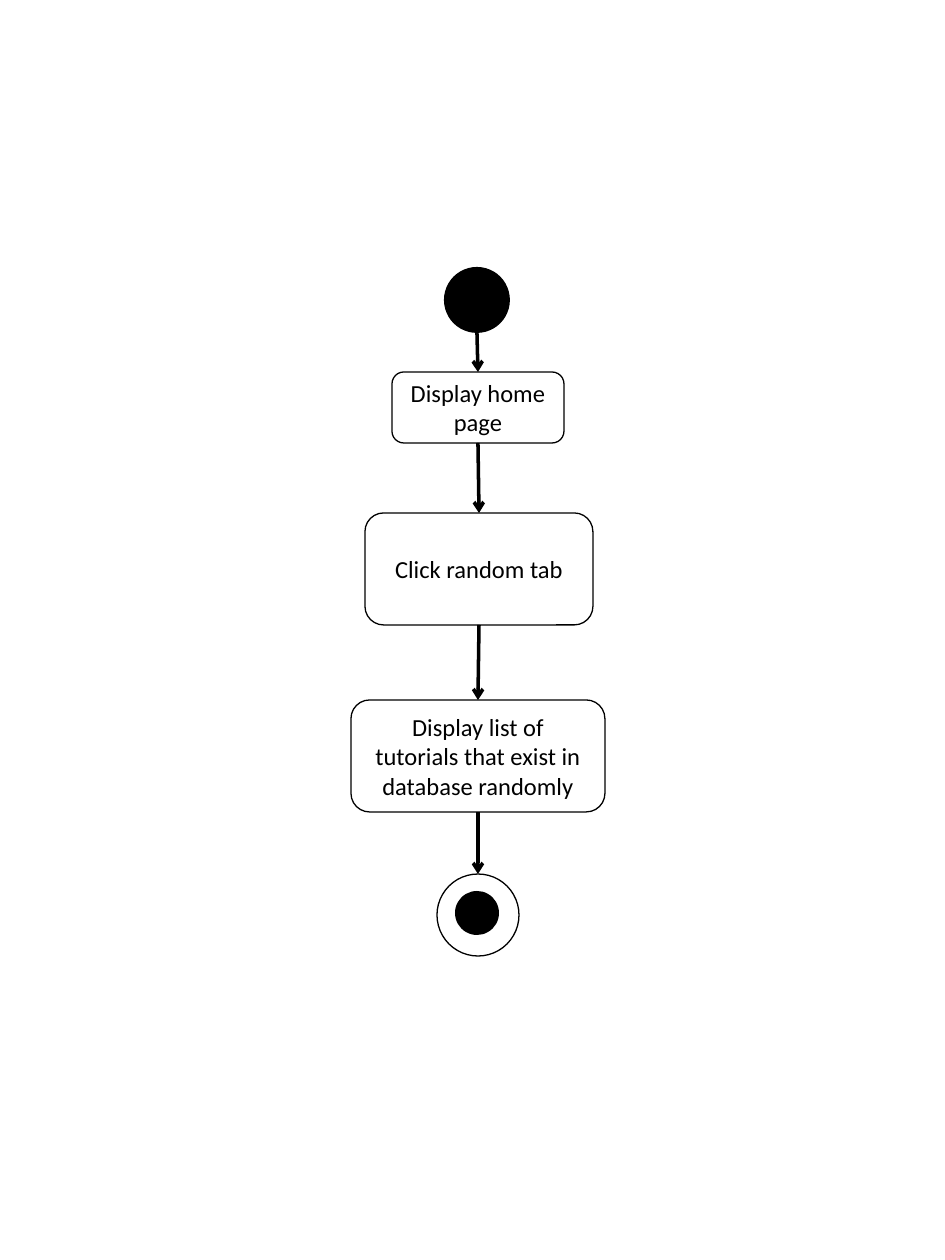
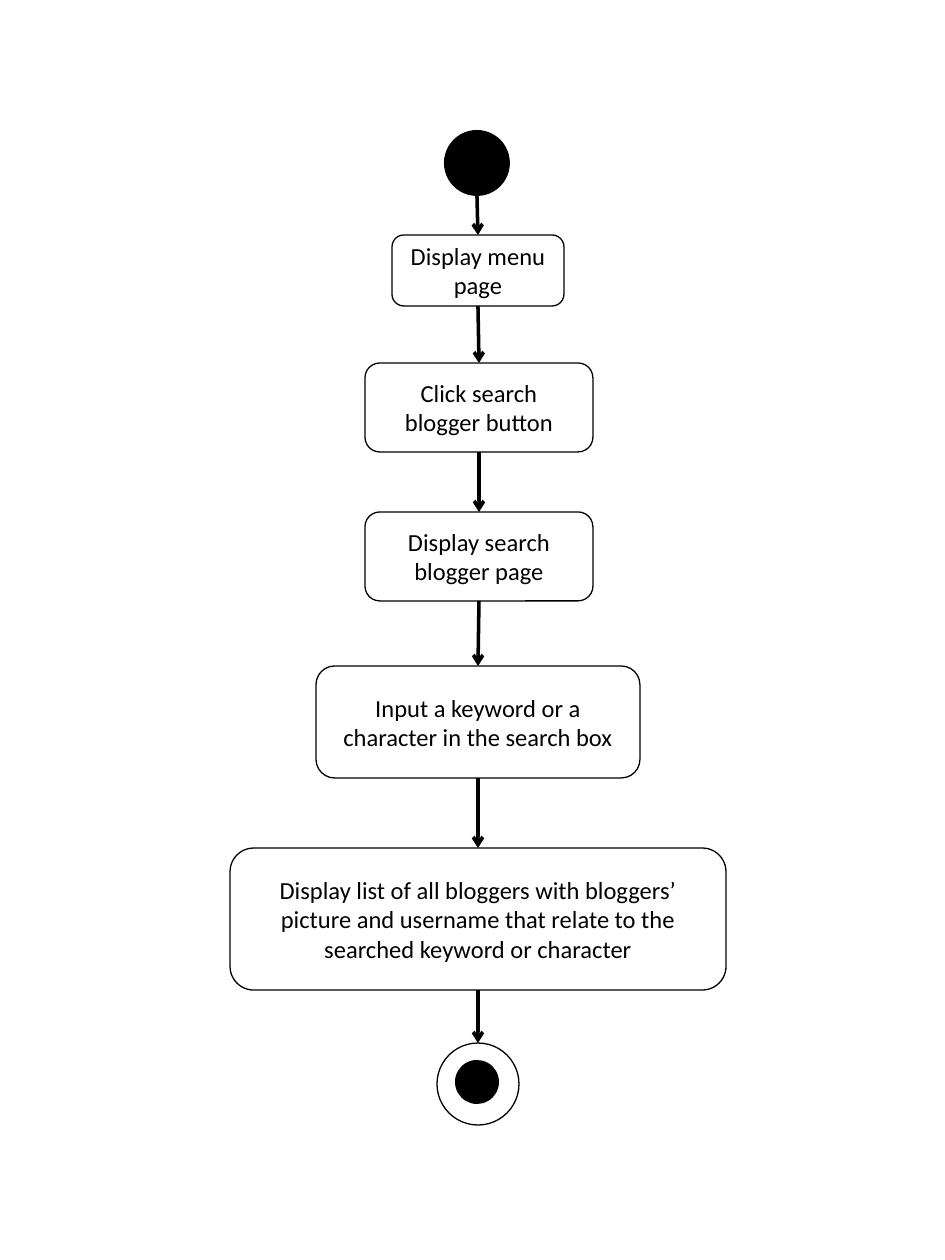
from lxml import etree
from pptx import Presentation
from pptx import util as u
from pptx.dml.color import RGBColor
from pptx.enum import shapes, text
from pptx.oxml.ns import qn

PX_PER_INCH = 126
BLACK, WHITE = "000000", "FFFFFF"
FONT, FONT_SIZE = "Calibri", 14
OUTLINE_WIDTH, ARROW_WIDTH = 0.75, 2
CENTER, CLICK_CENTER = 478, 479
START_SIZE, END_SIZE, DOT_SIZE = 66, 82, 44

# Each step: text, center x, top, width, height
RANDOM_STEPS = [
    ("Display home page", CENTER, 372, 172, 71),
    ("Click random tab", CLICK_CENTER, 513, 228, 112),
    ("Display list of tutorials that exist in database randomly",
     CENTER, 700, 254, 112),
]
SEARCH_STEPS = [
    ("Display menu page", CENTER, 235, 172, 71),
    ("Click search blogger button", CLICK_CENTER, 363, 228, 89),
    ("Display search blogger page", CLICK_CENTER, 512, 228, 89),
    ("Input a keyword or a character in the search box",
     CENTER, 666, 324, 112),
    ("Display list of all bloggers with bloggers’ picture and username "
     "that relate to the searched keyword or character",
     CENTER, 848, 496, 142),
]


def px(length):
    return u.Emu(round(length * u.Inches(1) / PX_PER_INCH))


def color(value):
    return RGBColor.from_string(value)


def add_node(slide, kind, center, top, width, height, fill, outlined=True):
    """Add a preset shape centered on a vertical axis."""
    shape = slide.shapes.add_shape(
        kind, px(center - width / 2), px(top), px(width), px(height))
    shape.shadow.inherit = False
    shape.fill.solid()
    shape.fill.fore_color.rgb = color(fill)
    if outlined:
        shape.line.color.rgb = color(BLACK)
        shape.line.width = u.Pt(OUTLINE_WIDTH)
    else:
        shape.line.fill.background()
    return shape


def add_circle(slide, center, top, size, fill, outlined=False):
    return add_node(slide, shapes.MSO_SHAPE.OVAL, center, top, size, size,
                    fill, outlined)


def add_step(slide, label, center, top, width, height):
    shape = add_node(slide, shapes.MSO_SHAPE.ROUNDED_RECTANGLE,
                     center, top, width, height, WHITE)
    frame = shape.text_frame
    frame.word_wrap = True
    frame.vertical_anchor = text.MSO_ANCHOR.MIDDLE
    paragraph = frame.paragraphs[0]
    paragraph.alignment = text.PP_ALIGN.CENTER
    run = paragraph.add_run()
    run.text = label
    run.font.name = FONT
    run.font.size = u.Pt(FONT_SIZE)
    run.font.color.rgb = color(BLACK)
    return shape


def add_end(slide, top):
    ring = add_circle(slide, CENTER, top, END_SIZE, WHITE, outlined=True)
    add_circle(slide, CENTER - 1, top + 17, DOT_SIZE, BLACK)
    return ring


def add_arrow(slide, source, target):
    """Draw an arrow from the bottom of source to the top of target."""
    arrow = slide.shapes.add_connector(
        shapes.MSO_CONNECTOR.STRAIGHT,
        source.left + source.width // 2, source.top + source.height,
        target.left + target.width // 2, target.top)
    if source.auto_shape_type == shapes.MSO_SHAPE.ROUNDED_RECTANGLE:
        arrow.begin_connect(source, 2)
    arrow.end_connect(target, 0)
    arrow.line.color.rgb = color(BLACK)
    arrow.line.width = u.Pt(ARROW_WIDTH)
    etree.SubElement(arrow.line._get_or_add_ln(), qn("a:tailEnd"), type="arrow")
    etree.SubElement(arrow._element.spPr, qn("a:effectLst"))


def add_activity_slide(presentation, start_top, steps, end_top):
    slide = presentation.slides.add_slide(presentation.slide_layouts[6])
    nodes = [add_circle(slide, CENTER - 1, start_top, START_SIZE, BLACK)]
    nodes += [add_step(slide, *step) for step in steps]
    nodes.append(add_end(slide, end_top))
    for source, target in zip(nodes, nodes[1:]):
        add_arrow(slide, source, target)


def main():
    presentation = Presentation()
    presentation.slide_width = px(945)
    presentation.slide_height = px(1260)
    add_activity_slide(presentation, 267, RANDOM_STEPS, 874)
    add_activity_slide(presentation, 130, SEARCH_STEPS, 1043)
    presentation.save("out.pptx")


if __name__ == "__main__":
    main()
